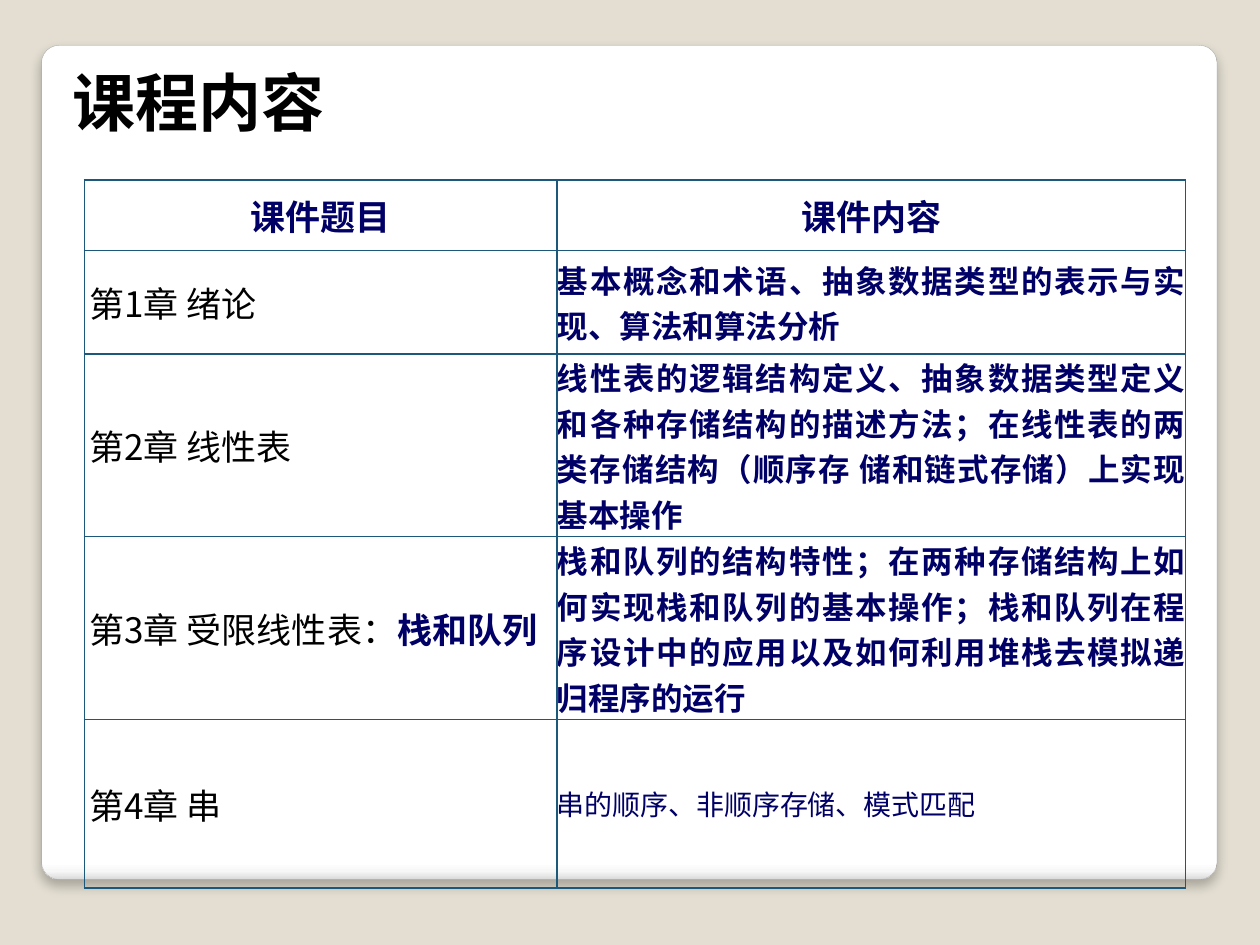
from lxml.etree import SubElement
from pptx import Presentation
from pptx.dml.color import RGBColor
from pptx.enum.lang import MSO_LANGUAGE_ID as Language
from pptx.enum.shapes import MSO_SHAPE as Shape
from pptx.enum.text import MSO_ANCHOR as Anchor, PP_ALIGN as Align
from pptx.oxml import parse_xml
from pptx.oxml.ns import nsdecls, qn
from pptx.util import Inches, Pt

BACKGROUND = RGBColor(0xE3, 0xDE, 0xD1)
CARD_EDGE = RGBColor(0xA4, 0xA4, 0xA4)
BORDER = RGBColor(0x1B, 0x58, 0x7C)
NAVY = RGBColor(0x00, 0x00, 0x66)
BLACK = RGBColor(0x00, 0x00, 0x00)

HEADING_FONT = "Arial"
CHAPTER_FONT = "Noto Sans CJK SC"

CARD_STOPS = [(0, "FFFFFF"), (98, "FFFFFF"), (99, "F7F7F7"), (100, "DADADA")]
COLUMN_WIDTHS = [3.75, 4.99]
ROW_HEIGHTS = [0.56, 0.82, 1.45, 1.45, 1.34]
HEADERS = ["课件题目", "课件内容"]

# Chapter, emphasised ending of the chapter, content, content format
CHAPTERS = [
    ("第1章 绪论", "", "基本概念和术语、抽象数据类型的表示与实现、算法和算法分析",
     dict(size=18, bold=True)),
    ("第2章 线性表", "",
     "线性表的逻辑结构定义、抽象数据类型定义和各种存储结构的描述方法；"
     "在线性表的两类存储结构（顺序存 储和链式存储）上实现基本操作",
     dict(size=18, bold=True)),
    ("第3章 受限线性表：", "栈和队列",
     "栈和队列的结构特性；在两种存储结构上如何实现栈和队列的基本操作；"
     "栈和队列在程序设计中的应用以及如何利用堆栈去模拟递归程序的运行",
     dict(size=18, bold=True)),
    ("第4章 串", "", "串的顺序、非顺序存储、模式匹配",
     dict(size=16, bold=False, font=CHAPTER_FONT)),
]


def write(frame, text, size=20, font=HEADING_FONT, color=NAVY, bold=True, align=Align.LEFT):
    """Append a run to the first paragraph of a text frame."""
    paragraph = frame.paragraphs[0]
    paragraph.alignment = align
    run = paragraph.add_run()
    run.text = text
    run.font.size = Pt(size)
    run.font.name = font
    run.font.bold = bold
    run.font.color.rgb = color
    run.font.language_id = Language.SIMPLIFIED_CHINESE


def add_card(slide):
    card = slide.shapes.add_shape(
        Shape.ROUNDED_RECTANGLE, Inches(0.33), Inches(0.36), Inches(9.33), Inches(6.62))
    card.adjustments[0] = 0.021
    card.line.color.rgb = CARD_EDGE
    card.line.width = Pt(0.16)
    card.fill.gradient()
    card.fill.gradient_angle = 270
    properties = card.element.spPr
    stops = properties.find(f"{qn('a:gradFill')}/{qn('a:gsLst')}")
    for stop in list(stops):
        stops.remove(stop)
    for position, color in CARD_STOPS:
        stop = SubElement(stops, qn("a:gs"), pos=str(position * 1000))
        SubElement(stop, qn("a:srgbClr"), val=color)

    card.shadow.inherit = False
    shadow = SubElement(
        properties.find(qn("a:effectLst")), qn("a:outerShdw"),
        blurRad=str(Pt(6)), dist=str(Pt(4)), dir="5400000", algn="tl", rotWithShape="0")
    shadow_color = SubElement(shadow, qn("a:srgbClr"), val=str(BLACK))
    SubElement(shadow_color, qn("a:alpha"), val="25000")


def add_title(slide, text):
    title = slide.shapes.add_textbox(Inches(0.48), Inches(0.6), Inches(9.29), Inches(0.55))
    title.text_frame.word_wrap = True
    title.text_frame.vertical_anchor = Anchor.BOTTOM
    write(title.text_frame, text, size=36, color=BLACK)


def format_cell(cell, left=0):
    cell.margin_left = Inches(left)
    cell.margin_right = cell.margin_top = cell.margin_bottom = 0
    cell.vertical_anchor = Anchor.MIDDLE
    cell.fill.background()
    properties = cell._tc.get_or_add_tcPr()
    for index, side in enumerate("LRTB"):
        properties.insert(index, parse_xml(
            f'<a:ln{side} {nsdecls("a")} w="{Pt(1)}"><a:solidFill>'
            f'<a:srgbClr val="{BORDER}"/></a:solidFill></a:ln{side}>'))


def add_course_table(slide):
    table = slide.shapes.add_table(
        len(ROW_HEIGHTS), len(COLUMN_WIDTHS), Inches(0.67), Inches(1.43),
        Inches(sum(COLUMN_WIDTHS)), Inches(sum(ROW_HEIGHTS))).table
    table.first_row = table.horz_banding = False
    for column, width in zip(table.columns, COLUMN_WIDTHS):
        column.width = Inches(width)
    for row, height in zip(table.rows, ROW_HEIGHTS):
        row.height = Inches(height)

    for column, header in enumerate(HEADERS):
        cell = table.cell(0, column)
        format_cell(cell)
        write(cell.text_frame, header, align=Align.CENTER)

    for row, (chapter, emphasis, content, content_format) in enumerate(CHAPTERS, start=1):
        chapter_cell, content_cell = table.cell(row, 0), table.cell(row, 1)
        format_cell(chapter_cell, left=0.04)
        write(chapter_cell.text_frame, chapter, font=CHAPTER_FONT, color=BLACK, bold=False)
        if emphasis:
            write(chapter_cell.text_frame, emphasis)
        format_cell(content_cell)
        write(content_cell.text_frame, content, align=Align.JUSTIFY, **content_format)


def main():
    presentation = Presentation()
    presentation.slide_width, presentation.slide_height = Inches(10), Inches(7.5)
    slide = presentation.slides.add_slide(presentation.slide_layouts[6])
    slide.background.fill.solid()
    slide.background.fill.fore_color.rgb = BACKGROUND
    add_card(slide)
    add_title(slide, "课程内容")
    add_course_table(slide)
    presentation.save("out.pptx")


if __name__ == "__main__":
    main()
